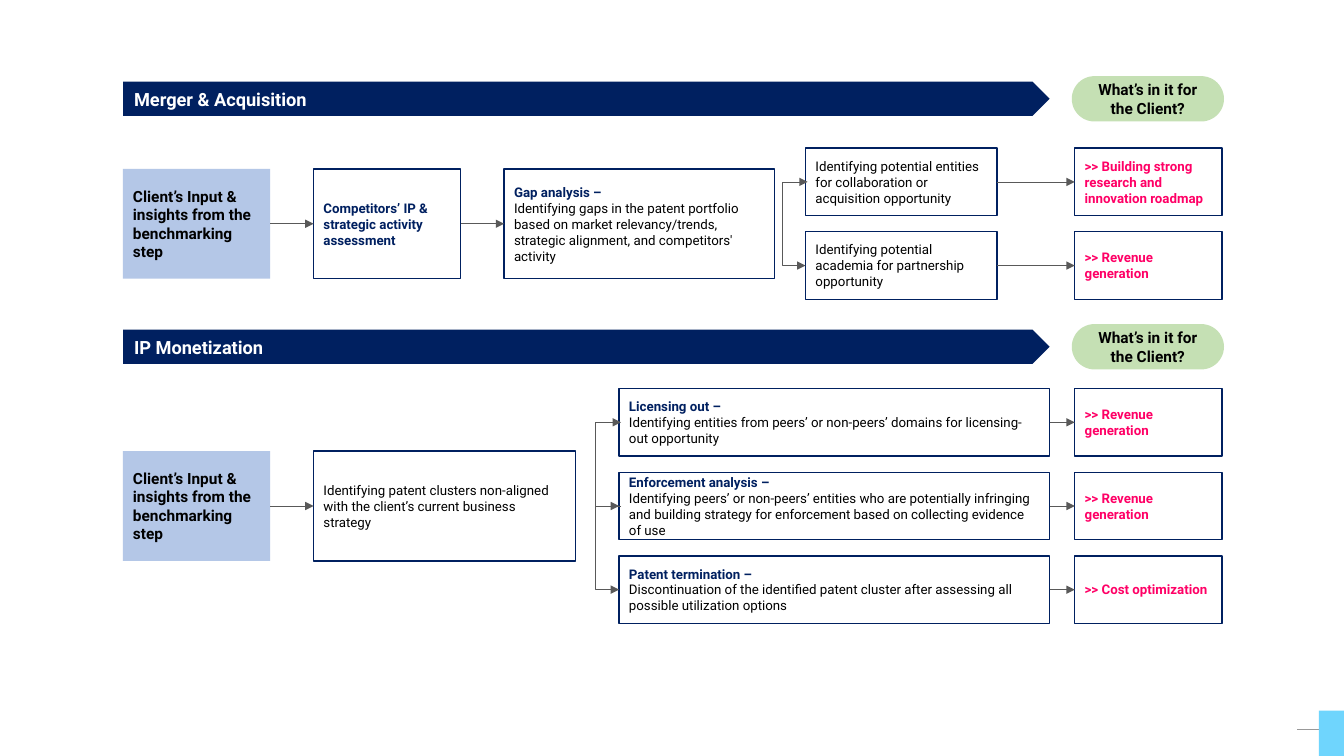
import lxml.etree
import pptx
import pptx.dml.color
import pptx.enum.shapes
import pptx.enum.text
import pptx.oxml.ns
import pptx.util

inch = pptx.util.Inches
hue = pptx.dml.color.RGBColor.from_string
qn = pptx.oxml.ns.qn
FORM = pptx.enum.shapes.MSO_SHAPE
LINK = pptx.enum.shapes.MSO_CONNECTOR
ALIGN = pptx.enum.text.PP_ALIGN

NAVY, PINK, BLACK, WHITE, GREY = "002060", "FF0066", "000000", "FFFFFF", "595959"
LEFT, RIGHT = 1, 3

# Columns: left edge and width
cols = {
    "bar": (1.22, 9.19), "pill": (10.63, 1.51), "input": (1.22, 1.46),
    "rival": (3.11, 1.46), "gap": (5, 2.68), "find": (7.99, 1.9),
    "cluster": (3.11, 2.6), "option": (6.14, 4.27), "gain": (10.66, 1.46),
}
# Rows: centre lines of the sections, and the step between branches
heads = (0.98, 3.44)
mids = (2.22, 5.02)
pitch = 0.83
tall, low = 1.09, 0.67

base = {"form": FORM.RECTANGLE, "fill": None, "line": NAVY, "size": 9.5,
        "align": ALIGN.LEFT, "inset": 0.1}
bar = base | {"form": FORM.PENTAGON, "fill": NAVY, "line": None, "size": 13, "inset": 0.11}
pill = base | {"form": FORM.ROUNDED_RECTANGLE, "fill": "C5E0B4", "line": None,
               "size": 11, "align": ALIGN.CENTER}
start = base | {"fill": "B4C7E7", "line": None, "size": 11}

deck = pptx.Presentation()
deck.slide_width, deck.slide_height = inch(13.33), inch(7.5)
slide = deck.slides.add_slide(deck.slide_layouts[6])
shapes = slide.shapes


def box(col, mid, high, look, lines):
    """Add a shape centred on the line mid; lines hold (text, colour, bold)."""
    left, wide = cols[col]
    item = shapes.add_shape(look["form"], inch(left), inch(mid - high / 2),
                            inch(wide), inch(high))
    item.shadow.inherit = False
    if look["form"] == FORM.ROUNDED_RECTANGLE:
        item.adjustments[0] = 0.5
    if look["fill"]:
        item.fill.solid()
        item.fill.fore_color.rgb = hue(look["fill"])
    else:
        item.fill.background()
    if look["line"]:
        item.line.color.rgb = hue(look["line"])
        item.line.width = pptx.util.Pt(1)
    else:
        item.line.fill.background()
    frame = item.text_frame
    form = {"word_wrap": True, "margin_left": inch(look["inset"]),
            "vertical_anchor": pptx.enum.text.MSO_ANCHOR.MIDDLE}
    for key, value in form.items():
        setattr(frame, key, value)
    for num, (text, tint, bold) in enumerate(lines):
        para = frame.add_paragraph() if num else frame.paragraphs[0]
        para.alignment = look["align"]
        run = para.add_run()
        run.text = text
        font = {"name": "Roboto", "size": pptx.util.Pt(look["size"]), "bold": bold}
        for key, value in font.items():
            setattr(run.font, key, value)
        run.font.color.rgb = hue(tint)
    return item


def link(kind, ends, tint=GREY, width=0.5, tips=("tailEnd",)):
    """Add a connector between the points in ends, with arrowheads at tips."""
    line = shapes.add_connector(kind, *map(inch, ends))
    line.line.color.rgb = hue(tint)
    line.line.width = pptx.util.Pt(width)
    props = line._element.spPr
    for tip in tips:
        lxml.etree.SubElement(props.get_or_add_ln(), qn("a:" + tip), type="triangle")
    lxml.etree.SubElement(props, qn("a:effectLst"))
    return line


# Corner mark
link(LINK.STRAIGHT, (13.33, 7.23, 12.86, 7.23), "999999", 0.25, ())
mark = shapes.add_shape(FORM.RECTANGLE, inch(13.08), inch(7.05), inch(0.25), inch(0.45))
mark.shadow.inherit = False
mark.fill.solid()
mark.fill.fore_color.rgb = hue("6FD5FD")
mark.line.fill.background()

# Section heads and first steps
inputs = []
for title, head, mid in zip(("Merger & Acquisition", "IP Monetization"), heads, mids):
    box("bar", head, 0.34, bar, [(title, WHITE, True)])
    box("pill", head, 0.45, pill, [("What’s in it for the Client?", BLACK, True)])
    inputs.append(box("input", mid, tall, start, [
        ("Client’s Input & insights from the benchmarking step", BLACK, True)]))

# Middle steps
rival = box("rival", mids[0], tall, base, [
    ("Competitors’ IP & strategic activity assessment", NAVY, True)])
gap = box("gap", mids[0], tall, base, [
    ("Gap analysis –", NAVY, True),
    ("Identifying gaps in the patent portfolio based on market relevancy/trends, "
     "strategic alignment, and competitors' activity", BLACK, False)])
cluster = box("cluster", mids[1], tall, base, [
    ("Identifying patent clusters non-aligned with the client’s current business strategy",
     BLACK, False)])
pairs = [(inputs[0], rival), (rival, gap), (inputs[1], cluster)]

# Branches: column, centre line, heading, text, gain
revenue = (">> Revenue", "generation")
branches = [
    ("find", mids[0] - pitch / 2, "",
     "Identifying potential entities for collaboration or acquisition opportunity",
     (">> Building strong research and innovation roadmap",)),
    ("find", mids[0] + pitch / 2, "",
     "Identifying potential academia for partnership opportunity", revenue),
    ("option", mids[1] - pitch, "Licensing out –",
     "Identifying entities from peers’ or non-peers’ domains for licensing-out opportunity",
     revenue),
    ("option", mids[1], "Enforcement analysis –",
     "Identifying peers’ or non-peers’ entities who are potentially infringing and building "
     "strategy for enforcement based on collecting evidence of use", revenue),
    ("option", mids[1] + pitch, "Patent termination –",
     "Discontinuation of the identified patent cluster after assessing all possible "
     "utilization options", (">> Cost optimization",)),
]
for col, mid, head, text, gains in branches:
    lines = [(head, NAVY, True)] if head else []
    step = box(col, mid, low, base, lines + [(text, BLACK, False)])
    gain = box("gain", mid, low, base, [(words, PINK, True) for words in gains])
    pairs.append((step, gain))

for first, last in pairs:
    line = link(LINK.STRAIGHT, (0, 0, 1, 1))
    line.begin_connect(first, RIGHT)
    line.end_connect(last, LEFT)

# Brackets that bend out to the left of the branches
both = ("headEnd", "tailEnd")
for col, top, tips in (("find", mids[0] - pitch / 2, both),
                       ("option", mids[1] - pitch, both),
                       ("option", mids[1], ("tailEnd",))):
    edge = cols[col][0]
    bend = link(LINK.ELBOW, (edge + 0.02, top, edge, top + pitch), tips=tips)
    guides = bend._element.spPr.find(qn("a:prstGeom")).get_or_add_avLst()
    lxml.etree.SubElement(guides, qn("a:gd"), name="adj1", fmla="val 1250000")

deck.save("out.pptx")
